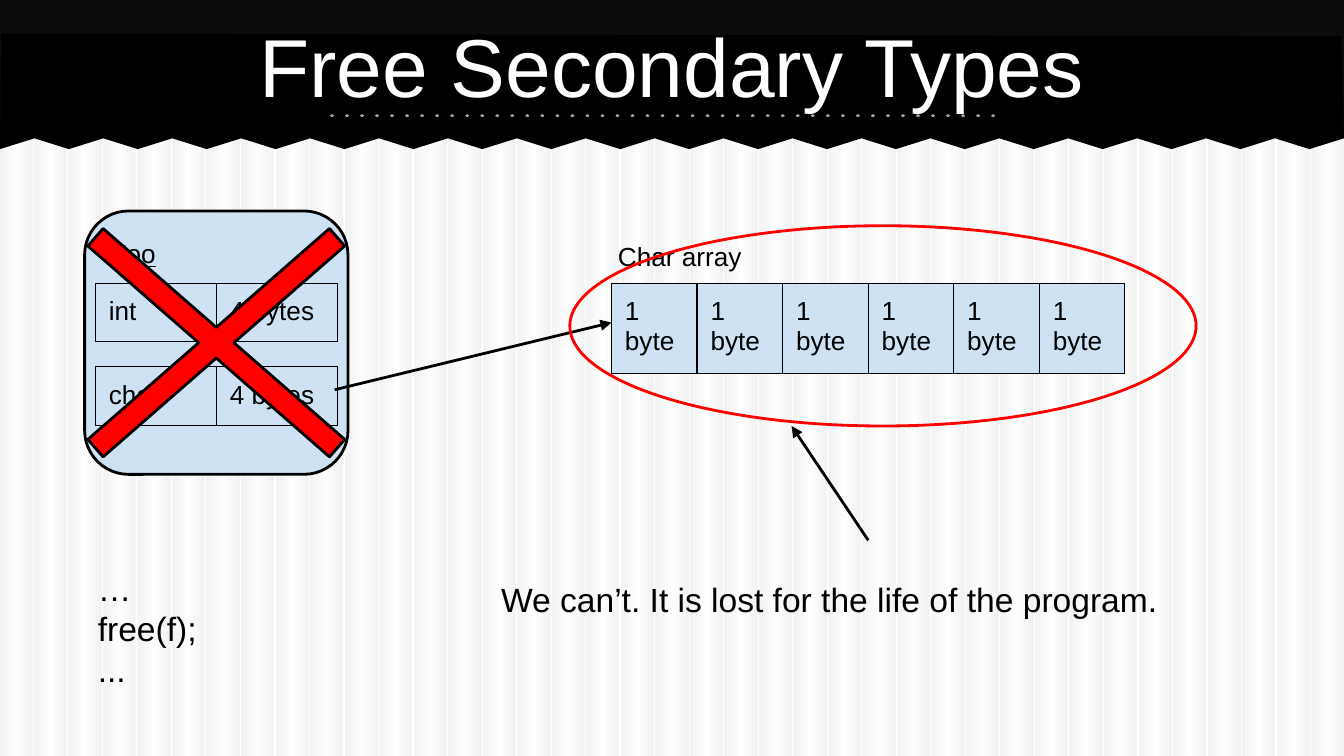
from lxml import etree
from pptx import Presentation
from pptx import util as u
from pptx.dml.color import RGBColor
from pptx.enum import shapes, text
from pptx.oxml import parse_xml
from pptx.oxml.ns import nsdecls, qn

Inches = u.Inches
COLORS = {
    "stripe": "BFBFBF", "white": "FFFFFF", "black": "000000",
    "band": "0C0C0C", "dots": "94AE8E", "pale_blue": "CFE2F3", "red": "FF0000",
}
FONT = "Arial"
INSET = 0.1


def rgb(name):
    return RGBColor.from_string(COLORS[name])


def style_shape(shape, fill=None, line=None):
    """Flat fill and 1.5 pt outline; either may be absent."""
    shape.shadow.inherit = False
    if fill:
        shape.fill.solid()
        shape.fill.fore_color.rgb = rgb(fill)
    else:
        shape.fill.background()
    if line:
        shape.line.color.rgb = rgb(line)
        shape.line.width = u.Pt(1.5)
    else:
        shape.line.fill.background()
    return shape


def add_shape(page, kind, box, fill=None, line=None, adjust=None):
    shape = page.shapes.add_shape(kind, *map(Inches, box))
    if adjust is not None:
        shape.adjustments[0] = adjust
    return style_shape(shape, fill, line)


def write(frame, words, size, color="black", align=text.PP_ALIGN.LEFT, underline=None):
    frame.text = words
    for para in frame.paragraphs:
        para.alignment = align
        for span in para.runs:
            span.font.name = FONT
            span.font.size = u.Pt(size)
            span.font.color.rgb = rgb(color)
            span.font.underline = underline


def set_up_frame(frame, anchor):
    frame.word_wrap = True
    frame.vertical_anchor = anchor
    frame.margin_left = frame.margin_right = Inches(INSET)
    frame.margin_top = frame.margin_bottom = Inches(INSET)


def add_text(page, box, words, size, anchor=text.MSO_ANCHOR.TOP, **look):
    frame = page.shapes.add_textbox(*map(Inches, box)).text_frame
    set_up_frame(frame, anchor)
    write(frame, words, size, **look)


def add_line(page, start, end, color="black", width=1.5):
    line = page.shapes.add_connector(
        shapes.MSO_CONNECTOR.STRAIGHT, *map(Inches, start + end))
    line.line.color.rgb = rgb(color)
    line.line.width = u.Pt(width)
    etree.SubElement(line._element.spPr, qn("a:effectLst"))
    return line.line._get_or_add_ln()


def add_arrow(page, start, end):
    outline = add_line(page, start, end)
    etree.SubElement(outline, qn("a:tailEnd"), type="triangle")


def add_cells(page, left, top, width, height, words, fill=None):
    """One-row table with thin black borders and equal columns."""
    frame = page.shapes.add_table(
        1, len(words), Inches(left), Inches(top), Inches(width), Inches(height))
    table = frame.table
    table.first_row = table.horz_banding = False
    for index, word in enumerate(words):
        cell = table.cell(0, index)
        cell.margin_left = cell.margin_right = Inches(INSET)
        cell.margin_top = cell.margin_bottom = Inches(INSET)
        write(cell.text_frame, word, 14)
        properties = cell._tc.get_or_add_tcPr()
        for side in "LRTB":
            properties.append(parse_xml(
                f'<a:ln{side} {nsdecls("a")} w="{u.Pt(0.75)}"><a:solidFill>'
                f'<a:srgbClr val="{COLORS["black"]}"/></a:solidFill></a:ln{side}>'))
        if fill:
            cell.fill.solid()
            cell.fill.fore_color.rgb = rgb(fill)
        else:
            cell.fill.background()


def add_stripe(page, left):
    stripe = add_shape(page, shapes.MSO_SHAPE.RECTANGLE, (left, 0.01, 0.24, 5.62))
    stops = "".join(
        f'<a:gs pos="{place * 1000}"><a:srgbClr val="{COLORS[name]}">'
        f'<a:alpha val="19000"/></a:srgbClr></a:gs>'
        for place, name in ((0, "stripe"), (50, "white"), (97, "stripe"), (100, "stripe")))
    properties = stripe._element.spPr
    properties.replace(properties.find(qn("a:noFill")), parse_xml(
        f'<a:gradFill {nsdecls("a")}><a:gsLst>{stops}</a:gsLst>'
        f'<a:lin ang="0" scaled="0"/></a:gradFill>'))


def add_torn_header(page):
    """Black header with a zigzag lower edge, drawn from right to left."""
    add_shape(page, shapes.MSO_SHAPE.RECTANGLE, (0, 0, 10, 1.02), "band")
    teeth = 39
    edge = [(10 - 10 * i / teeth, 1.11 if i % 2 else 1.03) for i in range(teeth + 1)]
    points = [(Inches(x), Inches(y)) for x, y in [(9.98, 0.27)] + edge]
    builder = page.shapes.build_freeform(Inches(0.01), Inches(0.25))
    builder.add_line_segments(points, close=True)
    style_shape(builder.convert_to_shape(), "black")
    outline = add_line(page, (2.47, 0.86), (7.5, 0.86), "dots", 2)
    outline.set("cap", "rnd")
    etree.SubElement(outline, qn("a:prstDash"), val="dot")


def main():
    deck = Presentation()
    deck.slide_width = Inches(10)
    deck.slide_height = deck.slide_width * 9 // 16
    page = deck.slides.add_slide(deck.slide_layouts[6])
    page.background.fill.solid()
    page.background.fill.fore_color.rgb = rgb("white")

    # Striped paper and header
    stripes = 39
    for index in range(stripes):
        add_stripe(page, index * 9.76 / (stripes - 1))
    add_torn_header(page)
    add_text(page, (0.5, 0.01, 9, 0.94), "Free Secondary Types", 44,
             text.MSO_ANCHOR.MIDDLE, color="white", align=text.PP_ALIGN.CENTER)

    # Struct with its two members
    struct = add_shape(page, shapes.MSO_SHAPE.ROUNDED_RECTANGLE,
                       (0.63, 1.57, 1.96, 1.96), "pale_blue", "black", 0.167)
    set_up_frame(struct.text_frame, text.MSO_ANCHOR.TOP)
    write(struct.text_frame, "Foo", 14, underline=True)
    for top, kind in ((2.11, "int"), (2.73, "char *")):
        add_cells(page, 0.71, top, 1.8, 0.37, [kind, "4 bytes"])

    # Array that the pointer leads to
    add_arrow(page, (2.49, 2.9), (4.55, 2.4))
    add_cells(page, 4.55, 2.11, 3.82, 0.59, ["1 byte"] * 6, "pale_blue")
    add_text(page, (4.5, 1.69, 2.23, 0.33), "Char array", 14)

    # Code that frees the struct
    add_text(page, (0.63, 3.93, 2.06, 1.49), "…\nfree(f);\n...", 18,
             text.MSO_ANCHOR.MIDDLE)
    add_shape(page, shapes.MSO_SHAPE.MATH_MULTIPLY,
              (-0.12, 1.04, 3.46, 3.02), "red", "black", 0.057)

    # Lost memory
    add_shape(page, shapes.MSO_SHAPE.OVAL, (4.24, 1.68, 4.66, 1.49), line="red")
    add_arrow(page, (6.46, 4.02), (5.89, 3.17))
    add_text(page, (3.63, 4.21, 5.38, 0.75),
             "We can’t. It is lost for the life of the program.", 18)

    deck.save("out.pptx")


if __name__ == "__main__":
    main()
